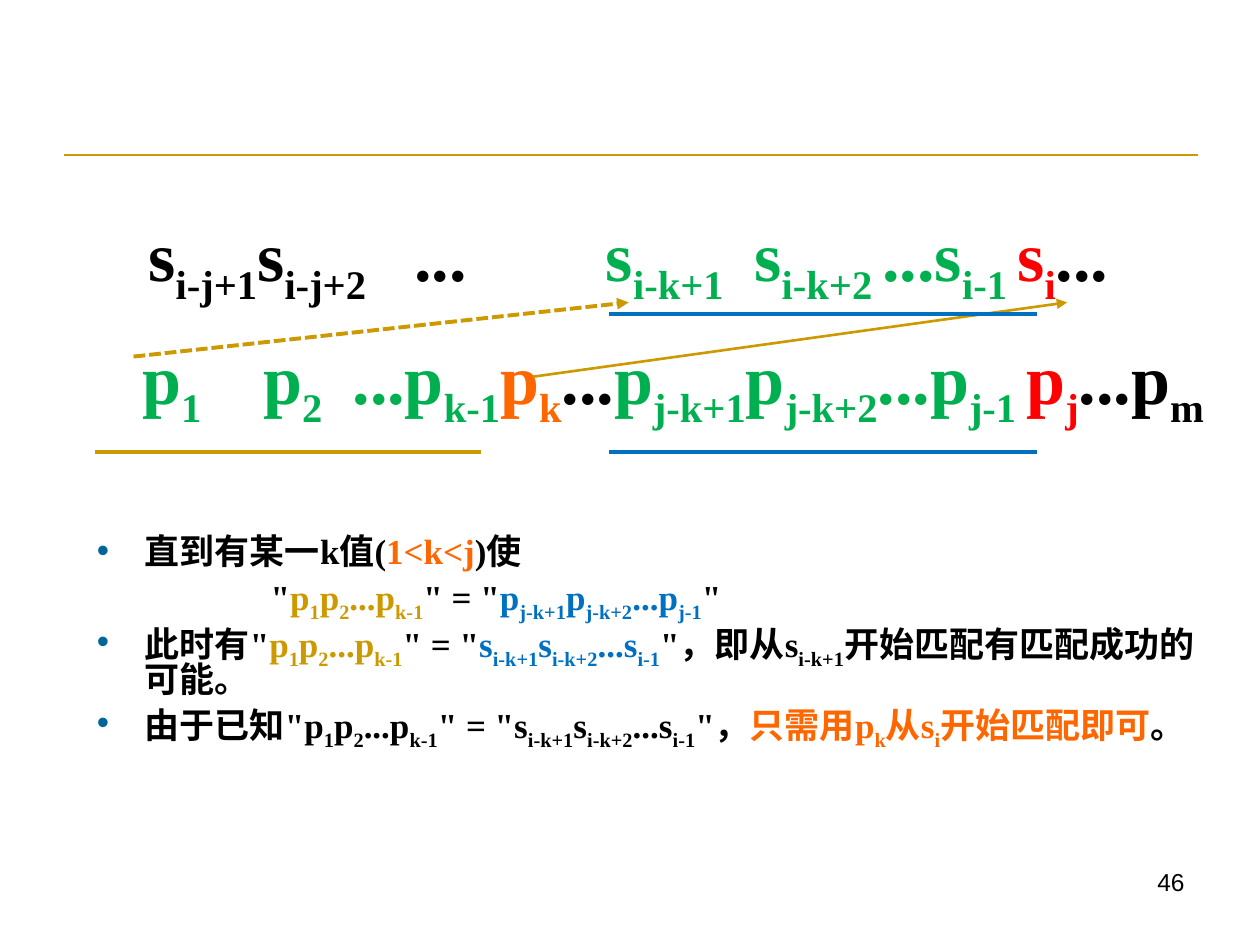
"""Build a slide that explains the shift of the pattern in KMP string matching."""
from lxml.etree import SubElement
from pptx import Presentation
from pptx.dml.color import RGBColor
from pptx.enum.dml import MSO_LINE_DASH_STYLE as Dash
from pptx.enum.shapes import MSO_CONNECTOR as Connector
from pptx.enum.text import PP_ALIGN as Align
from pptx.oxml.ns import qn
from pptx.util import Inches, Pt

BLACK = RGBColor(0x00, 0x00, 0x00)
GOLD = RGBColor(0xCC, 0x99, 0x00)
BLUE = RGBColor(0x00, 0x70, 0xC0)
GREEN = RGBColor(0x00, 0xB0, 0x50)
RED = RGBColor(0xFF, 0x00, 0x00)
ORANGE = RGBColor(0xFE, 0x67, 0x00)
BULLET = "006699"

PREFIX = ("p~1~p~2~...p~k-1~", GOLD)
EQUALS = ('" = "', BLACK)
TEXT_TAIL = "s~i-k+1~s~i-k+2~...s~i-1~"

TEXT_ROW = [("s~i-j+1~s~i-j+2~\t...\t", BLACK),
            ("s~i-k+1~\ts~i-k+2 ~...s~i-1 ~", GREEN),
            ("s~i~", RED), ("...", BLACK)]
PATTERN_ROW = [("p~1~\tp~2~\t...p~k-1~", GREEN), ("p~k~", ORANGE), ("...", BLACK),
               ("p~j-k+1~p~j-k+2~...p~j-1 ~", GREEN), ("p~j~", RED), ("...p~m~", BLACK)]

CONDITION = [("直到有某一k值(", BLACK), ("1<k<j", ORANGE), (")使", BLACK)]
EQUATION = [('"', BLACK), PREFIX, EQUALS, ("p~j-k+1~p~j-k+2~...p~j-1~", BLUE), ('"', BLACK)]
CONSEQUENCE = [('此时有"', BLACK), PREFIX, EQUALS, (TEXT_TAIL, BLUE),
               ('"，即从s~i-k+1~开始匹配有匹配成功的可能。', BLACK)]
CONCLUSION = [(f'由于已知"{PREFIX[0]}" = "{TEXT_TAIL}"，', BLACK),
              ("只需用p~k~从s~i~开始匹配即可", ORANGE), ("。", BLACK)]


def add_text_frame(slide, left, top, width, height):
    """Add a wrapping text box and return its text frame."""
    frame = slide.shapes.add_textbox(
        Inches(left), Inches(top), Inches(width), Inches(height)).text_frame
    frame.word_wrap = True
    return frame


def write(paragraph, segments, size=20, font="Times New Roman", bold=True, align=None):
    """Write coloured segments, in which text between tildes is subscript."""
    paragraph.alignment = align
    for text, color in segments:
        for index, part in enumerate(text.split("~")):
            if not part:
                continue
            run = paragraph.add_run()
            run.text = part
            run.font.size = Pt(size)
            run.font.name = font
            run.font.bold = bold
            run.font.color.rgb = color
            if index % 2:
                run._r.get_or_add_rPr().set("baseline", "-25000")


def set_indent(paragraph, margin, indent=0):
    """Set the left margin and the first-line indent."""
    properties = paragraph._p.get_or_add_pPr()
    properties.set("marL", str(Inches(margin)))
    properties.set("indent", str(Inches(indent)))


def add_bullet(paragraph):
    """Give the paragraph a coloured round bullet."""
    properties = paragraph._p.get_or_add_pPr()
    color = SubElement(properties, qn("a:buClr"))
    SubElement(color, qn("a:srgbClr"), val=BULLET)
    SubElement(properties, qn("a:buFont"), typeface="Arial")
    SubElement(properties, qn("a:buChar"), char="•")


def add_sequence(slide, left, top, width, segments, stops):
    """Add a row of large symbols placed with tab stops."""
    frame = add_text_frame(slide, left, top, width, 0.86)
    frame.margin_right = 0
    paragraph = frame.paragraphs[0]
    write(paragraph, segments, size=40)
    tabs = SubElement(paragraph._p.get_or_add_pPr(), qn("a:tabLst"))
    for stop in stops:
        SubElement(tabs, qn("a:tab"), pos=str(Inches(stop)), algn="l")


def add_explanation(slide):
    """Add the bulleted explanation with its indented equation."""
    frame = add_text_frame(slide, 0.67, 4.22, 9, 1.89)
    for index, segments in enumerate([CONDITION, EQUATION, CONSEQUENCE, CONCLUSION]):
        paragraph = frame.add_paragraph() if index else frame.paragraphs[0]
        paragraph.line_spacing = 0.8
        paragraph.space_before = Pt(5)
        write(paragraph, segments)
        if segments is EQUATION:
            set_indent(paragraph, 1.38)
        else:
            set_indent(paragraph, 0.38, -0.38)
            add_bullet(paragraph)


def add_line(slide, start, end, color, width=2.25, dash=None, arrow=False):
    """Add a straight line, with an arrowhead at its end if wanted."""
    connector = slide.shapes.add_connector(
        Connector.STRAIGHT, *(Inches(value) for value in (*start, *end)))
    connector.line.color.rgb = color
    connector.line.width = Pt(width)
    if dash:
        connector.line.dash_style = dash
    if arrow:
        SubElement(connector.line._get_or_add_ln(), qn("a:tailEnd"), type="triangle")
    SubElement(connector._element.spPr, qn("a:effectLst"))


def main():
    """Build and save the slide."""
    presentation = Presentation()
    presentation.slide_width = Inches(10)
    presentation.slide_height = Inches(7.5)
    slide = presentation.slides.add_slide(presentation.slide_layouts[6])

    add_line(slide, (0.51, 1.23), (9.51, 1.23), GOLD, width=1.5)
    add_explanation(slide)
    number = add_text_frame(slide, 7.17, 6.83, 2.33, 0.52)
    write(number.paragraphs[0], [("46", BLACK)], size=14, font="Arial",
          bold=False, align=Align.RIGHT)
    add_sequence(slide, 1.08, 1.63, 7.82, TEXT_ROW, [2.11, 3.63, 4.81])
    add_sequence(slide, 1.03, 2.61, 8.62, PATTERN_ROW, [0.96, 1.67])

    add_line(slide, (4.23, 2.99), (8.47, 2.4), GOLD, width=1.5, arrow=True)
    for left, right, top, color in [(4.83, 8.23, 2.49, BLUE), (4.83, 8.23, 3.59, BLUE),
                                    (0.75, 3.82, 3.59, GOLD)]:
        add_line(slide, (left, top), (right, top), color)
    add_line(slide, (1.06, 2.83), (4.99, 2.4), GOLD, dash=Dash.SQUARE_DOT, arrow=True)

    presentation.save("out.pptx")


if __name__ == "__main__":
    main()
